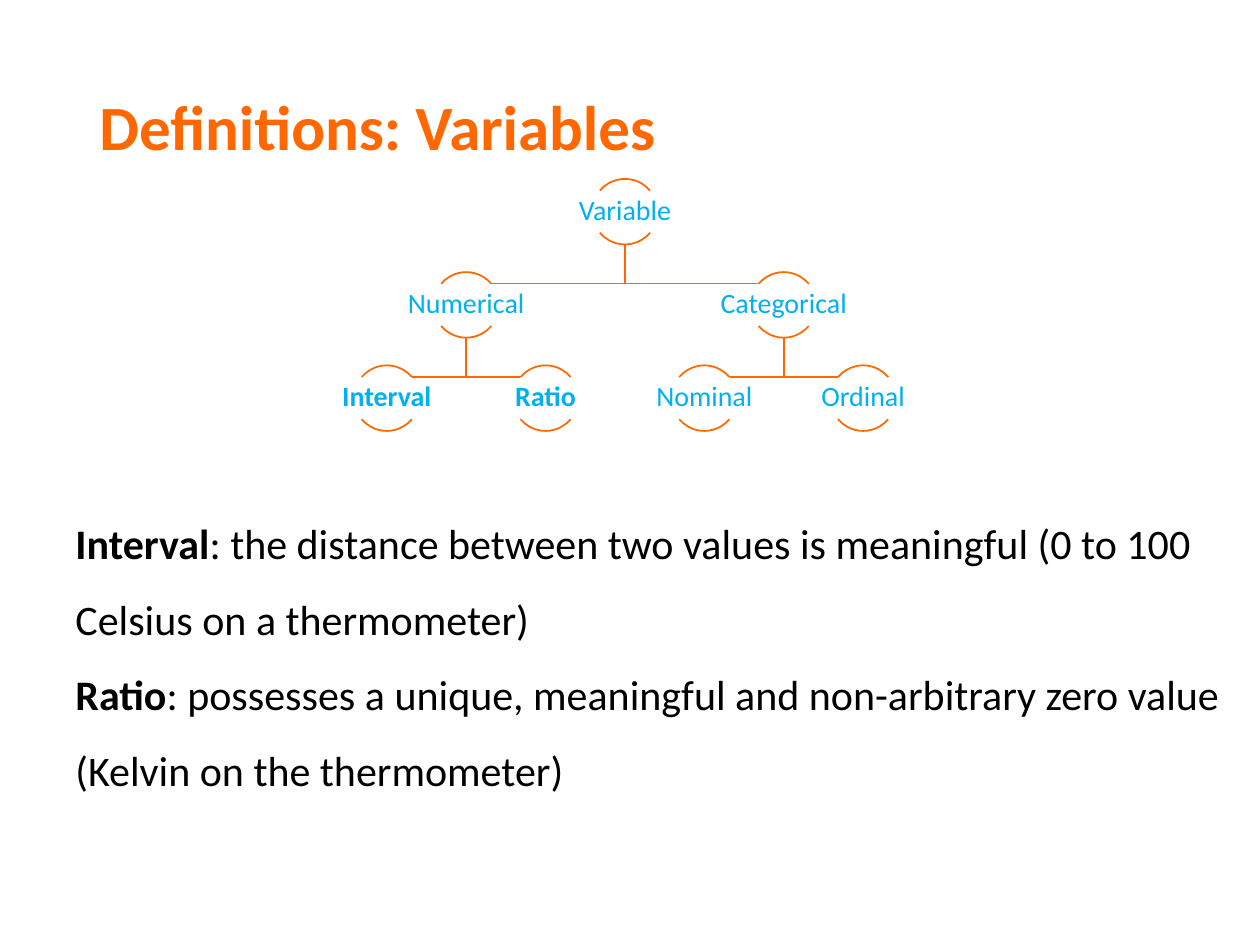
from pptx import Presentation
from pptx.dml.color import RGBColor
from pptx.enum.shapes import MSO_SHAPE
from pptx.enum.text import MSO_ANCHOR, PP_ALIGN
from pptx.util import Inches, Pt

ORANGE, BLUE, BLACK = "FF6700", "00B0F0", "000000"


def color(code):
    return RGBColor.from_string(code)


class Page:
    font = "Calibri"
    left, top = 3.07, 1.68      # centre of the first tree cell
    col, row = 0.63, 0.74       # tree grid steps
    size = 0.52                 # circle diameter
    reach = 0.2                 # from node centre to branch end
    rise = 0.05                 # from branch end up to node centre line

    def __init__(self, slide):
        self.shapes = slide.shapes

    def text(self, box, paras, size, ink, space, anchor=MSO_ANCHOR.TOP,
             align=PP_ALIGN.LEFT, inset=None):
        """Each paragraph is a list of (words, bold) runs."""
        frame = self.shapes.add_textbox(*map(Inches, box)).text_frame
        frame.word_wrap = True
        frame.vertical_anchor = anchor
        if inset is not None:
            frame.margin_left = frame.margin_right = Inches(inset)
            frame.margin_top = frame.margin_bottom = Inches(inset)
        for i, runs in enumerate(paras):
            para = frame.add_paragraph() if i else frame.paragraphs[0]
            para.alignment, para.line_spacing = align, space
            for words, bold in runs:
                run = para.add_run()
                run.text = words
                run.font.name, run.font.size = self.font, Pt(size)
                run.font.bold = bold
                run.font.color.rgb = color(ink)

    def trace(self, shape):
        shape.shadow.inherit = False
        shape.fill.background()
        shape.line.color.rgb = color(ORANGE)
        shape.line.width = Pt(1)

    def spot(self, col, row):
        return self.left + col * self.col, self.top + row * self.row

    def branch(self, start, end):
        x, y = self.spot(*start)
        to, mid = self.spot(*end)
        side = self.reach if to > x else -self.reach
        bend = mid - self.size / 2 + 0.09
        pen = self.shapes.build_freeform(Inches(x), Inches(y + self.size / 2))
        pen.add_line_segments([(Inches(x), Inches(bend)),
                               (Inches(to - side), Inches(bend))], close=False)
        self.trace(pen.convert_to_shape())

    def node(self, label, cell, bold):
        x, y = self.spot(*cell)
        half = self.size / 2
        # Upper and lower arc of the circle
        for angles in ((132, 192), (24, 84)):
            arc = self.shapes.add_shape(
                MSO_SHAPE.ARC, Inches(x - half), Inches(y - half),
                Inches(self.size), Inches(self.size))
            arc.adjustments[0], arc.adjustments[1] = angles
            self.trace(arc)
        self.text((x - 0.52, y - 0.17, 1.04, 0.33), [[(label, bold)]], 16, BLUE,
                  0.9, MSO_ANCHOR.MIDDLE, PP_ALIGN.CENTER, 0.01)


# Label: (cell, parent, bold)
TREE = {
    "Variable": ((3, 0), None, False),
    "Numerical": ((1, 1), "Variable", False),
    "Interval": ((0, 2), "Numerical", True),
    "Ratio": ((2, 2), "Numerical", True),
    "Categorical": ((5, 1), "Variable", False),
    "Nominal": ((4, 2), "Categorical", False),
    "Ordinal": ((6, 2), "Categorical", False),
}
TERMS = [
    [("Interval", True), (": the distance between two values is meaningful "
                          "(0 to 100 Celsius on a thermometer)", False)],
    [("Ratio", True), (": possesses a unique, meaningful and non-arbitrary "
                       "zero value (Kelvin on the thermometer)", False)],
]


def main():
    deck = Presentation()
    deck.slide_width, deck.slide_height = Inches(10), Inches(7.5)
    page = Page(deck.slides.add_slide(deck.slide_layouts[6]))

    # Title
    page.text((0.69, 0.4, 8.62, 1.27), [[("Definitions: Variables", True)]],
              36, ORANGE, 0.9, MSO_ANCHOR.MIDDLE)

    # Tree: branches behind, nodes in front
    for cell, parent, _ in TREE.values():
        if parent:
            page.branch(TREE[parent][0], cell)
    for label, (cell, _, bold) in TREE.items():
        page.node(label, cell, bold)

    # Definitions
    page.text((0.5, 3.86, 9.32, 2.46), TERMS, 24, BLACK, 1.5)
    deck.save("out.pptx")


if __name__ == "__main__":
    main()
